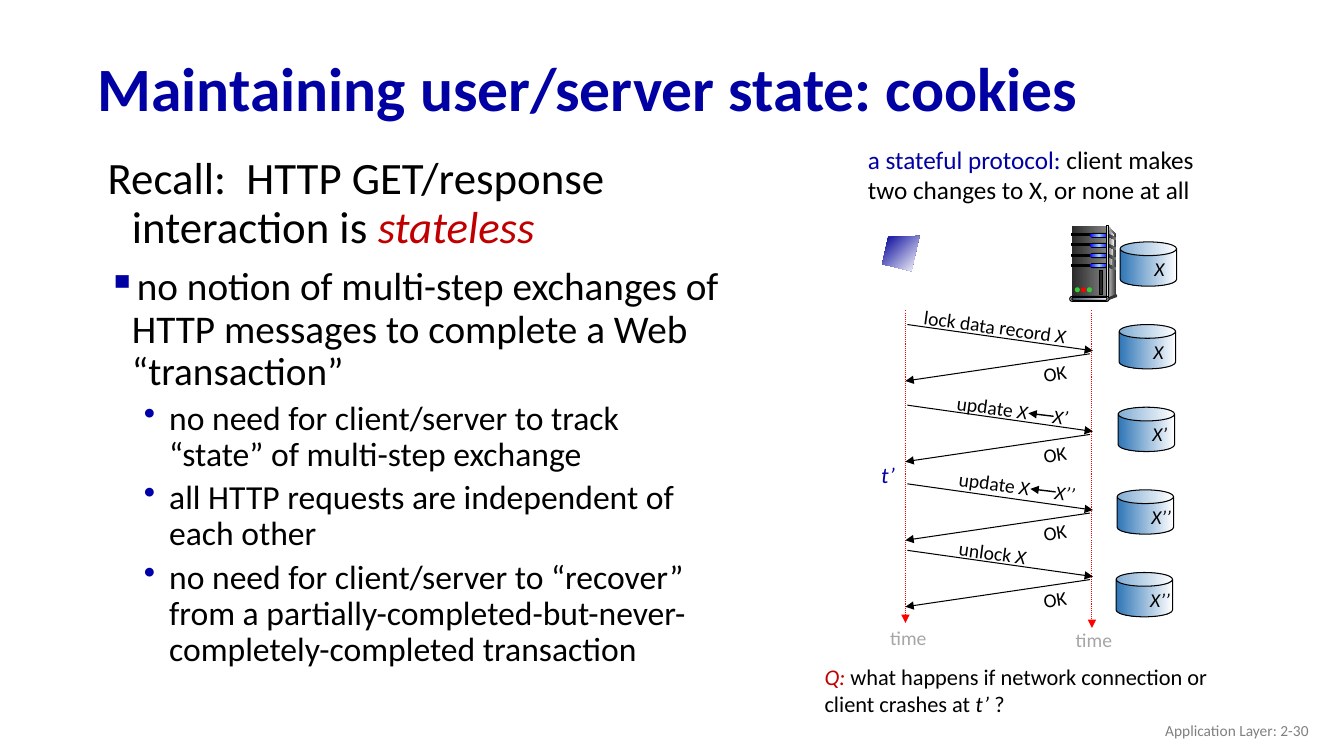
import dataclasses

import lxml.etree
import pptx
import pptx.dml.color
import pptx.enum.dml
import pptx.enum.shapes
import pptx.enum.text
import pptx.oxml.ns
import pptx.util

Inches, Pt = pptx.util.Inches, pptx.util.Pt
qn = pptx.oxml.ns.qn
SHAPE = pptx.enum.shapes.MSO_SHAPE
ALIGN = pptx.enum.text.PP_ALIGN
ANCHOR = pptx.enum.text.MSO_ANCHOR


@dataclasses.dataclass(frozen=True)
class Theme:
    font: str = "Calibri"
    blue: str = "0000A3"
    bullet: str = "0000A8"
    red: str = "C00000"
    black: str = "000000"
    muted: str = "A6A6A6"
    footer: str = "808080"
    time_axis: str = "FF0000"
    case: tuple = ("292929", "808080")
    side: tuple = ("DDDDDD", "333333")
    panel: tuple = ("808080", "F8F8F8")
    edge: tuple = ("333333", "DDDDDD", "333333")
    foot: tuple = ("44546A", "E7E6E6")
    drive: tuple = ("0000FF", "99CCFF", "0000FF")
    store: tuple = ("2E75B6", "FFFFFF")
    client: tuple = ("000099", "FFFFFF")
    dark: str = "333333"
    light: str = "DDDDDD"
    led_green: str = "33CC33"
    led_red: str = "FF0000"
    title_pt: int = 44
    lead_pt: int = 32
    point_pt: int = 28
    sub_pt: int = 24
    caption_pt: int = 18
    question_pt: int = 16
    label_pt: int = 14
    footer_pt: int = 11
    hair_pt: float = 0.75


T = Theme()


def rgb(value):
    return pptx.dml.color.RGBColor.from_string(value)


def add_runs(p, runs, size, bold=False):
    """Add (text, colour, italic) runs to a paragraph."""
    for text, color, italic in runs:
        r = p.add_run()
        r.text = text
        r.font.name, r.font.size = T.font, Pt(size)
        r.font.bold, r.font.italic = bold, italic
        r.font.color.rgb = rgb(color)


def add_text(s, x, y, w, h, runs, size, bold=False, wrap=True,
             anchor=ANCHOR.TOP, align=ALIGN.LEFT, rotation=0):
    sp = s.shapes.add_textbox(Inches(x), Inches(y), Inches(w), Inches(h))
    sp.rotation = rotation
    tf = sp.text_frame
    tf.word_wrap, tf.vertical_anchor = wrap, anchor
    p = tf.paragraphs[0]
    p.alignment = align
    add_runs(p, runs, size, bold)
    return p


def paint(sp, fill, outlined=False, angle=0):
    """Fill with one colour, or with a gradient when given several."""
    sp.shadow.inherit = False
    if isinstance(fill, str):
        sp.fill.solid()
        sp.fill.fore_color.rgb = rgb(fill)
    else:
        sp.fill.gradient()
        sp.fill.gradient_angle = angle
        stops = sp.element.spPr.find(".//" + qn("a:gsLst"))
        stops[:] = []
        for i, color in enumerate(fill):
            gs = lxml.etree.SubElement(stops, qn("a:gs"), pos=str(100000 * i // (len(fill) - 1)))
            lxml.etree.SubElement(gs, qn("a:srgbClr"), val=color)
    if outlined:
        sp.line.color.rgb = rgb(T.black)
        sp.line.width = Pt(T.hair_pt)
    else:
        sp.line.fill.background()


def add_block(s, kind, x, y, w, h, fill, outlined=False, adj=None):
    sp = s.shapes.add_shape(kind, Inches(x), Inches(y), Inches(w), Inches(h))
    if adj is not None:
        sp.adjustments[0] = adj
    paint(sp, fill, outlined)


def add_outline(s, x, y, points, fill, angle=0):
    corners = [(Inches(x + dx), Inches(y + dy)) for dx, dy in points]
    builder = s.shapes.build_freeform(*corners[0])
    builder.add_line_segments(corners[1:], close=True)
    paint(builder.convert_to_shape(), fill, angle=angle)


def add_arrow(s, x1, y1, x2, y2, color=T.black, width=T.hair_pt, dotted=False):
    c = s.shapes.add_connector(pptx.enum.shapes.MSO_CONNECTOR.STRAIGHT,
                               Inches(x1), Inches(y1), Inches(x2), Inches(y2))
    c.line.color.rgb = rgb(color)
    c.line.width = Pt(width)
    if dotted:
        c.line.dash_style = pptx.enum.dml.MSO_LINE.ROUND_DOT
    spPr = c.element.spPr
    lxml.etree.SubElement(spPr.find(qn("a:ln")), qn("a:tailEnd"), type="triangle")
    lxml.etree.SubElement(spPr, qn("a:effectLst"))


def body(s, x, y, w, h):
    sub = (1, 0.76, -0.25, 5, "•", T.bullet, T.sub_pt)
    items = [
        ((0, 0.39, -0.24, 0, None, None, T.lead_pt),
         [("Recall:  HTTP GET/response interaction is ", T.black, False),
          ("stateless", T.red, True)]),
        ((0, 0.39, -0.24, 10, "▪", T.blue, T.point_pt),
         [("no notion of multi-step exchanges of HTTP messages to complete a Web “transaction”",
           T.black, False)]),
        (sub, [("no need for client/server to track “state” of multi-step exchange", T.black, False)]),
        (sub, [("all HTTP requests are independent of each other", T.black, False)]),
        (sub, [("no need for client/server to “recover” from a "
                "partially-completed-but-never-completely-completed transaction", T.black, False)]),
    ]
    tf = s.shapes.add_textbox(Inches(x), Inches(y), Inches(w), Inches(h)).text_frame
    tf.word_wrap = True
    for i, ((level, margin, indent, before, bullet, color, size), runs) in enumerate(items):
        p = tf.add_paragraph() if i else tf.paragraphs[0]
        pPr = p._p.get_or_add_pPr()
        pPr.set("marL", str(Inches(margin)))
        pPr.set("indent", str(Inches(indent)))
        if bullet:
            clr = lxml.etree.SubElement(pPr, qn("a:buClr"))
            lxml.etree.SubElement(clr, qn("a:srgbClr"), val=color)
            lxml.etree.SubElement(pPr, qn("a:buChar"), char=bullet)
        p.level, p.line_spacing, p.space_before = level, 0.9, Pt(before)
        add_runs(p, runs, size)


def server(s, x, y):
    # Case: side, front, side panel
    add_outline(s, x, y, [(0.38, 0), (0.46, 0.09), (0.46, 0.68), (0.37, 0.71)], T.side)
    add_block(s, SHAPE.RECTANGLE, x + 0.02, y, 0.34, 0.71, T.case)
    add_outline(s, x, y, [(0.39, 0.04), (0.44, 0.1), (0.41, 0.4), (0.39, 0.7)], T.panel)
    # Drive slots and side vents
    for i in range(4):
        top = y + 0.08 + 0.1 * i
        add_block(s, SHAPE.RECTANGLE, x + 0.02, top, 0.19, 0.02, T.black, True)
        add_block(s, SHAPE.ROUNDED_RECTANGLE, x + 0.2, top - 0.01, 0.19, 0.05, T.black, adj=0.5)
        add_block(s, SHAPE.ROUNDED_RECTANGLE, x + 0.2, top, 0.18, 0.03, T.drive, adj=0.5)
        add_outline(s, x, top, [(0.38, 0), (0.46, 0.04), (0.46, 0.06), (0.38, 0.03)], T.case)
    # Edge and base
    add_block(s, SHAPE.RECTANGLE, x + 0.36, y, 0.02, 0.72, T.edge, True)
    add_block(s, SHAPE.OVAL, x + 0.45, y + 0.68, 0.02, 0.03, T.dark)
    add_outline(s, x, y, [(0.38, 0.71), (0.38, 0.74), (0.46, 0.71), (0.46, 0.68)], T.dark)
    add_block(s, SHAPE.ROUNDED_RECTANGLE, x, y + 0.7, 0.39, 0.05, T.light, True, 0.5)
    add_block(s, SHAPE.ROUNDED_RECTANGLE, x + 0.02, y + 0.71, 0.35, 0.03, T.foot, True, 0.5)
    # Status lights and grille
    for i, color in enumerate([T.led_green, T.led_red, T.led_green]):
        add_block(s, SHAPE.OVAL, x + 0.05 + 0.06 * i, y + 0.61, 0.05, 0.05, color)
    add_block(s, SHAPE.RECTANGLE, x + 0.3, y + 0.44, 0.03, 0.24, T.case[0], True)


def client(s, x, y):
    add_outline(s, x, y, [(0.37, 0), (0.06, 0.01), (0, 0.28), (0.29, 0.35)], T.client, angle=315)


def timeline(s, x, y, w):
    # Time axes
    for axis, length, label_x, label_y in [(x, 3.1, -0.25, 3.08), (x + w, 3.15, -0.26, 3.1)]:
        add_arrow(s, axis, y, axis, y + length, T.time_axis, dotted=True)
        add_text(s, axis + label_x, y + label_y, 0.57, 0.34,
                 [("time", T.muted, False)], T.label_pt, wrap=False)
    # Requests and replies: start, label left, label rise, label width, words
    exchanges = [(0.14, 0.08, 0.14, 1.71, "lock data record ", "X"),
                 (0.94, 0.41, 0.11, 1.46, "update ", "X\tX’"),
                 (1.72, 0.43, 0.14, 1.37, "update ", "X\tX’’"),
                 (2.38, 0.43, 0.12, 1.23, "unlock ", "X")]
    for start, left, rise, width, verb, record in exchanges:
        top = y + start
        add_arrow(s, x + 0.02, top, x + w + 0.01, top + 0.26)
        label_x, label_y = x + left, top - rise
        p = add_text(s, label_x, label_y, width, 0.34,
                     [(verb, T.black, False), (record, T.black, True)], T.label_pt, rotation=7.7)
        if "\t" in record:
            tabs = lxml.etree.SubElement(p._p.get_or_add_pPr(), qn("a:tabLst"))
            lxml.etree.SubElement(tabs, qn("a:tab"), pos=str(Inches(0.96)), algn="l")
            add_arrow(s, label_x + 1.06, label_y + 0.22, label_x + 0.81, label_y + 0.19, width=1)
        add_arrow(s, x + w - 0.02, top + 0.29, x, top + 0.56)
        add_text(s, x + 1.27, top + 0.31, 0.51, 0.34,
                 [("OK", T.black, False)], T.label_pt, rotation=351.8)
    # Crash moment
    add_text(s, x - 0.34, y + 1.45, 0.45, 0.37, [("t’", T.blue, True)], T.question_pt)


def record_states(s, x, y):
    for i, value in enumerate(["X", "X", "X’", "X’’", "X’’"]):
        left, top = x - 0.01 * i, y + 0.82 * i
        add_block(s, SHAPE.CAN, left, top, 0.56, 0.44, T.store, True, 0.31)
        add_text(s, left + 0.24, top + 0.1, 0.55, 0.34, [(value, T.black, True)], T.label_pt)


def protocol(s, x, y):
    add_text(s, x + 0.43, y, 3.66, 0.71,
             [("a stateful protocol: ", T.blue, False),
              ("client makes two changes to X, or none at all", T.black, False)], T.caption_pt)
    timeline(s, x + 0.9, y + 1.7, 1.85)
    server(s, x + 2.53, y + 0.86)
    client(s, x + 0.67, y + 0.96)
    record_states(s, x + 3.03, y + 1.02)
    add_text(s, x, y + 5.15, 4.5, 0.64,
             [("Q: ", T.red, True),
              ("what happens if network connection or client crashes at ", T.black, False),
              ("t’ ", T.black, True), ("?", T.black, False)], T.question_pt)


def main():
    prs = pptx.Presentation()
    prs.slide_width, prs.slide_height = Inches(13.33), Inches(7.5)
    s = prs.slides.add_slide(prs.slide_layouts[6])
    title = add_text(s, 0.87, 0.42, 11.5, 0.98,
                     [("Maintaining user/server state: cookies", T.blue, False)],
                     T.title_pt, bold=True, anchor=ANCHOR.MIDDLE)
    title.line_spacing = 0.9
    body(s, 0.82, 1.5, 6.43, 5.29)
    protocol(s, 8.08, 1.38)
    add_text(s, 10.08, 7.05, 3, 0.4, [("Application Layer: 2-30", T.footer, False)],
             T.footer_pt, anchor=ANCHOR.MIDDLE, align=ALIGN.RIGHT)
    prs.save("out.pptx")


if __name__ == "__main__":
    main()
